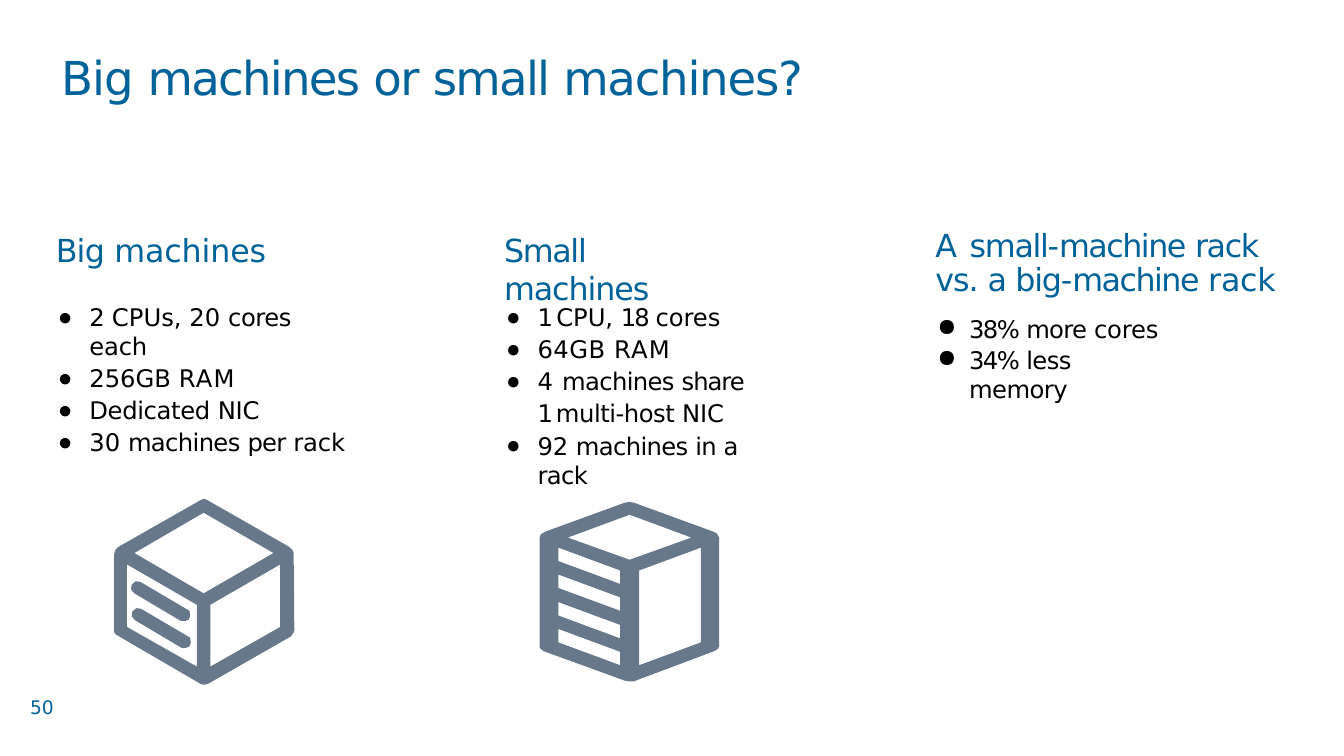
"""Build the slide comparing big machines with small machines."""
from lxml.etree import SubElement
from pptx import Presentation
from pptx.dml.color import RGBColor
from pptx.enum.text import MSO_ANCHOR as Anchor, MSO_AUTO_SIZE as AutoSize, PP_ALIGN as Align
from pptx.oxml.ns import qn
from pptx.util import Inches, Pt

BLUE = RGBColor(0x00, 0x62, 0x9A)
BLACK = RGBColor(0x00, 0x00, 0x00)
SLATE = RGBColor(0x67, 0x78, 0x8A)
FONT = "DejaVu Sans"
HANGING = 0.47

# style: size, colour, bullet
STYLES = {
    "title": (50, BLUE, False),
    "heading": (34, BLUE, False),
    "item": (26, BLACK, True),
    "number": (20, BLUE, False),
}

# paragraph: style, left indent, right indent, space before, line spacing, (text, tracking) runs
TITLE = [("title", 0.05, 0, 0, 1.0, [
    ("Big ", -1.1), ("machines ", -1.9), ("or ", -1.6), ("small ", -1.9), ("machines?", -1.4)])]
BIG = [
    ("heading", 0.01, 0, 0, 1.0, [("Big ", -0.8), ("machines", -0.1)]),
    ("item", 0.51, 0, 36.4, 1.0, [("2 ", -0.6), ("CPUs, 20 ", 0), ("cores ", -0.5), ("each", -0.2)]),
    ("item", 0.51, 0, 2.8, 1.0, [("256GB ", 0), ("RAM", 1.2)]),
    ("item", 0.51, 0, 3.3, 1.0, [("Dedicated ", -0.4), ("NIC", -0.2)]),
    ("item", 0.51, 0, 3.3, 1.0, [("30 ", 0), ("machines ", -0.7), ("per ", -0.8), ("rack", -0.2)]),
]
SMALL_HEADING = [("heading", 0.01, 0.2, 0, 1.0, [("Small ", -1.4), ("machines", -1.1)])]
SMALL = [
    ("item", 0.48, 0, 0, 1.0, [("1 ", -4.7), ("CPU, ", -0.1), ("18 ", -2.1), ("cores", -0.1)]),
    ("item", 0.48, 0, 2.8, 1.0, [("64GB ", 0.5), ("RAM", 1.2)]),
    ("item", 0.48, 0.5, 0, 1.11, [("4 ", 0.7), ("machines ", -0.7), ("share ", -1.1),
                                  ("1 ", -5.2), ("multi-host ", -0.5), ("NIC", -0.2)]),
    ("item", 0.48, 0, 3.3, 1.0, [("92 ", -0.2), ("machines ", -0.7), ("in ", -0.9),
                                 ("a ", -1.2), ("rack", -0.7)]),
]
RACK_HEADING = [("heading", 0.01, 0, 0, Pt(36.8), [
    ("A ", 1.4), ("small-", -1.4), ("machine ", -1.6), ("rack ", -1.4), ("vs. ", -1.1),
    ("a ", -1.9), ("big-", -1.3), ("machine ", -1.6), ("rack", -0.2)])]
RACK = [
    ("item", 0.48, 0, 0, 1.0, [("38% ", -1.6), ("more ", -0.8), ("cores", -0.2)]),
    ("item", 0.48, 0.3, 2.8, 1.0, [("34% ", -1.6), ("less memory", -0.6)]),
]
NUMBER = [("number", 0.08, 0, 0, 1.0, [("50", -0.2)])]

# block: placeholder index or None, box in inches, top inset, paragraphs
BLOCKS = [
    (0, (0.86, 0.59, 18.68, 1.89), 0.13, TITLE),
    (2, (0.82, 3.42, 4.35, 2.96), 0.01, BIG),
    (1, (7.49, 3.42, 3.5, 0.59), 0.01, SMALL_HEADING),
    (3, (13.91, 3.33, 5.49, 1.1), 0.08, RACK_HEADING),
    (4, (7.52, 4.45, 4.15, 2.41), 0.05, SMALL),
    (None, (13.94, 4.62, 3.56, 0.97), 0.05, RACK),
    (None, (0.37, 10.33, 0.51, 0.41), 0.02, NUMBER),
]

# icon contours in hundredths of an inch
SLOT = [(283, 916), (282, 909), (209, 866), (202, 865), (196, 870), (195, 877), (200, 883),
        (269, 924), (276, 924), (281, 922)]
BIG_ICON = [
    [(438, 938), (437, 823), (435, 818), (429, 813), (308, 744), (303, 742), (299, 744),
     (176, 814), (172, 818), (170, 824), (170, 941), (172, 944), (299, 1018), (303, 1019),
     (309, 1018), (433, 947), (437, 941)],
    [(303, 763), (407, 823), (303, 883), (200, 823)],
    [(189, 840), (293, 900), (293, 992), (189, 933)],
    [(417, 840), (417, 933), (313, 992), (313, 900)],
    SLOT,
    [(x + 1, y + 40) for x, y in SLOT],
]
SMALL_ICON = [
    [(936, 1014), (930, 1013), (809, 969), (805, 966), (803, 964), (803, 800), (805, 795),
     (812, 791), (930, 748), (937, 747), (943, 748), (1061, 791), (1067, 794), (1070, 800),
     (1070, 962), (1068, 966), (1063, 969), (943, 1014)],
    [(937, 766), (1029, 800), (937, 833), (845, 800)],
    [(951, 849), (1043, 815), (1043, 956), (951, 990)],
] + [[(831, y), (923, y + 34), (923, y + 54), (831, y + 20)]
     for y in (815 + round(40.4 * i) for i in range(4))]


def write_paragraph(p, style, left, right, before, spacing, runs):
    size, colour, bullet = STYLES[style]
    p.alignment = Align.LEFT
    p.line_spacing, p.space_before, p.space_after = spacing, Pt(before), Pt(0)
    pPr = p._p.get_or_add_pPr()
    pPr.set("marL", str(Inches(left)))
    pPr.set("marR", str(Inches(right)))
    pPr.set("indent", str(Inches(-HANGING if bullet else 0)))
    if bullet:
        SubElement(pPr, qn("a:buChar")).set("char", "●")
    else:
        SubElement(pPr, qn("a:buNone"))
    for text, tracking in runs:
        r = p.add_run()
        r.text = text
        r.font.name, r.font.size, r.font.bold = FONT, Pt(size), False
        r.font.color.rgb = colour
        r._r.get_or_add_rPr().set("spc", str(round(tracking * 100)))


def add_block(s, index, box, inset, paragraphs):
    box = [Inches(v) for v in box]
    if index is None:
        sp = s.shapes.add_textbox(*box)
    else:
        sp = s.placeholders[index]
        sp.left, sp.top, sp.width, sp.height = box
    tf = sp.text_frame
    tf.word_wrap, tf.auto_size, tf.vertical_anchor = True, AutoSize.NONE, Anchor.TOP
    tf.margin_left = tf.margin_right = tf.margin_bottom = 0
    tf.margin_top = Inches(inset)
    for i, paragraph in enumerate(paragraphs):
        write_paragraph(tf.add_paragraph() if i else tf.paragraphs[0], *paragraph)


def add_icon(s, contours):
    outline, *inner = contours
    builder = s.shapes.build_freeform(*outline[0], scale=Inches(0.01))
    builder.add_line_segments(outline[1:], close=True)
    for contour in inner:
        builder.move_to(*contour[0])
        builder.add_line_segments(contour[1:], close=True)
    sp = builder.convert_to_shape()
    sp.shadow.inherit = False
    sp.fill.solid()
    sp.fill.fore_color.rgb = SLATE
    sp.line.fill.background()


def main():
    prs = Presentation()
    prs.slide_width, prs.slide_height = Inches(20), Inches(11.25)
    s = prs.slides.add_slide(prs.slide_layouts.get_by_name("Comparison"))
    for block in BLOCKS:
        add_block(s, *block)
    for contours in (BIG_ICON, SMALL_ICON):
        add_icon(s, contours)
    prs.save("out.pptx")


if __name__ == "__main__":
    main()
